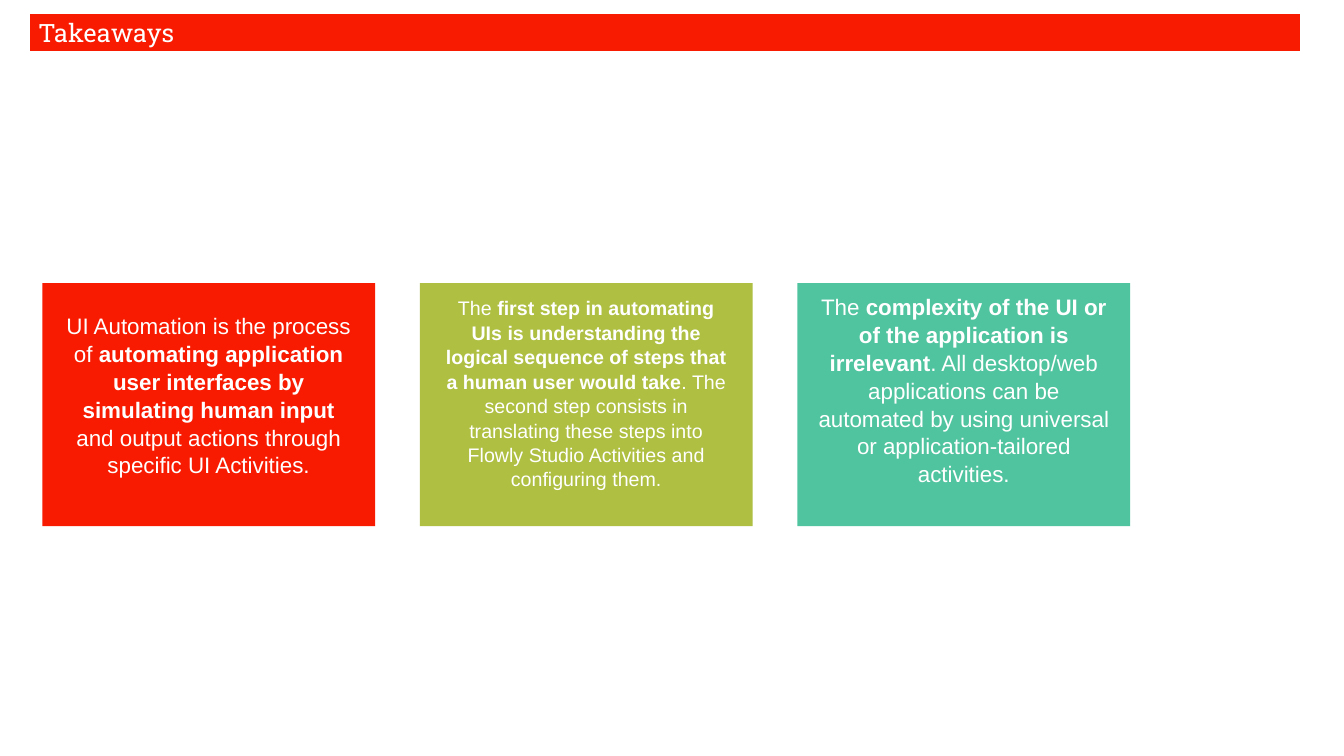
from pptx import Presentation
from pptx import util as u
from pptx.dml.color import RGBColor
from pptx.enum import shapes, text

RED = RGBColor(0xF8, 0x1B, 0x02)
OLIVE = RGBColor(0xAF, 0xBF, 0x41)
TEAL = RGBColor(0x50, 0xC4, 0x9F)
WHITE = RGBColor(0xFF, 0xFF, 0xFF)

CARD_LEFT, CARD_TOP, CARD_STEP = 0.42, 2.81, 3.745
CARD_WIDTH, CARD_HEIGHT, CARD_INSET = 3.3, 2.41, 0.2

# Fill, text size, extra space below the text, and (wording, bold) spans
CARDS = [
    (RED, 16, 0.2, [
        ("UI Automation is the process of ", False),
        ("automating application user interfaces by simulating human input", True),
        (" and output actions through specific UI Activities.", False)]),
    (OLIVE, 14, 0.23, [
        ("The ", False),
        ("first step in automating UIs is understanding the logical sequence "
         "of steps that a human user would take", True),
        (". The second step consists in translating these steps into "
         "Flowly Studio Activities and configuring them.", False)]),
    (TEAL, 16, 0.3, [
        ("The ", False),
        ("complexity of the UI or of the application is irrelevant", True),
        (". All desktop/web applications can be automated by using universal "
         "or application-tailored activities.", False)]),
]


class TakeawaysSlide:
    heading_font = "Roboto Slab"
    body_font = "Arial"

    def __init__(self, deck):
        self.page = deck.slides.add_slide(deck.slide_layouts[5])

    def place(self, box, left, top, width, height):
        box.left, box.top = u.Inches(left), u.Inches(top)
        box.width, box.height = u.Inches(width), u.Inches(height)

    def paint(self, box, color):
        box.fill.solid()
        box.fill.fore_color.rgb = color

    def add_span(self, para, words, font, size, bold=False):
        span = para.add_run()
        span.text = words
        span.font.name = font
        span.font.size = u.Pt(size)
        span.font.bold = bold
        span.font.color.rgb = WHITE

    def title(self, words, left, top, width, height):
        box = self.page.shapes.title
        self.place(box, left, top, width, height)
        self.paint(box, RED)
        box.line.color.rgb = WHITE
        box.line.width = u.Pt(2)
        frame = box.text_frame
        frame.auto_size = text.MSO_AUTO_SIZE.NONE
        frame.vertical_anchor = text.MSO_ANCHOR.MIDDLE
        para = frame.paragraphs[0]
        para.alignment = text.PP_ALIGN.LEFT
        self.add_span(para, words, self.heading_font, 18)

    def card(self, left, color, size, space_below, spans):
        box = self.page.shapes.add_shape(
            shapes.MSO_SHAPE.RECTANGLE, u.Inches(left), u.Inches(CARD_TOP),
            u.Inches(CARD_WIDTH), u.Inches(CARD_HEIGHT))
        box.shadow.inherit = False
        self.paint(box, color)
        box.line.fill.background()
        frame = box.text_frame
        frame.word_wrap = True
        frame.vertical_anchor = text.MSO_ANCHOR.MIDDLE
        frame.margin_left = frame.margin_right = u.Inches(CARD_INSET)
        frame.margin_top = u.Inches(CARD_INSET)
        frame.margin_bottom = u.Inches(CARD_INSET + space_below)
        para = frame.paragraphs[0]
        para.alignment = text.PP_ALIGN.CENTER
        para.line_spacing = 1.04
        for words, bold in spans:
            self.add_span(para, words, self.body_font, size, bold)


def main():
    deck = Presentation()
    deck.slide_width, deck.slide_height = u.Inches(13.33), u.Inches(7.5)
    slide = TakeawaysSlide(deck)

    # Heading bar
    slide.title("Takeaways", 0.28, 0.12, 12.63, 0.4)

    # Row of cards
    for index, card in enumerate(CARDS):
        slide.card(CARD_LEFT + index * CARD_STEP, *card)

    deck.save("out.pptx")


if __name__ == "__main__":
    main()
